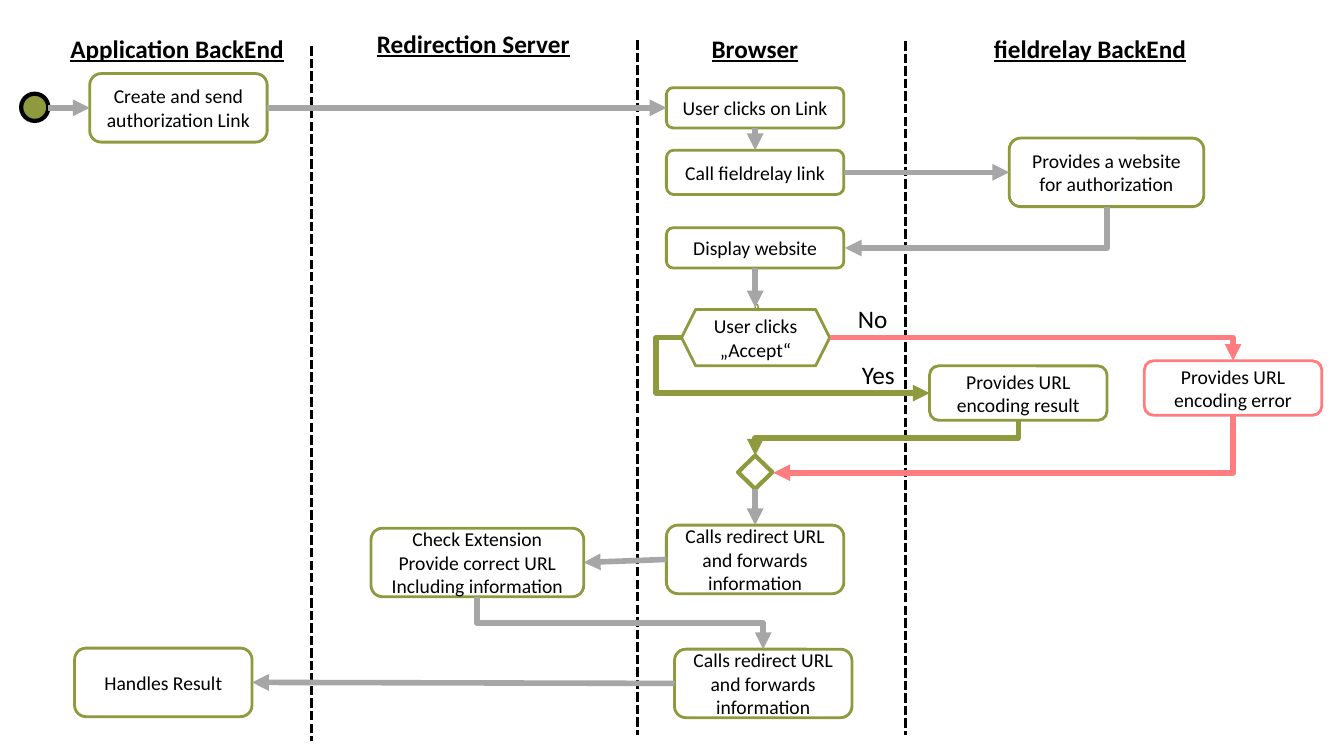
from lxml import etree
from pptx import Presentation
from pptx.dml.color import RGBColor
from pptx.enum.dml import MSO_LINE
from pptx.enum.shapes import MSO_CONNECTOR, MSO_SHAPE
from pptx.enum.text import MSO_ANCHOR, MSO_AUTO_SIZE, PP_ALIGN
from pptx.oxml.ns import qn
from pptx.util import Pt

PX = 9144
BLACK = RGBColor(0x00, 0x00, 0x00)
WHITE = RGBColor(0xFF, 0xFF, 0xFF)
OLIVE = RGBColor(0x8F, 0x99, 0x3E)
GREY = RGBColor(0xA6, 0xA6, 0xA6)
RED = RGBColor(0xFF, 0x7C, 0x80)

STRAIGHT, ELBOW = MSO_CONNECTOR.STRAIGHT, MSO_CONNECTOR.ELBOW
ROUNDED, HEXAGON = MSO_SHAPE.ROUNDED_RECTANGLE, MSO_SHAPE.HEXAGON
DIAMOND, OVAL = MSO_SHAPE.DIAMOND, MSO_SHAPE.OVAL
DASH = MSO_LINE.SQUARE_DOT
MIDDLE, CENTER = MSO_ANCHOR.MIDDLE, PP_ALIGN.CENTER
GROW = MSO_AUTO_SIZE.SHAPE_TO_FIT_TEXT
TOP, LEFT, BOTTOM, RIGHT = range(4)
QUARTER_TURN = 90 * 60000

BODY_FONT = {"name": "Calibri", "size": Pt(14)}
LABEL_FONT = {"name": "Calibri", "size": Pt(18)}
TITLE_FONT = {**LABEL_FONT, "bold": True, "underline": True}

LANE_LINES = [(309, 46, 735), (632, 40, 729), (898, 41, 729)]
LABELS = [
    ("Application BackEnd", 60, 28, 234, False, TITLE_FONT),
    ("Redirection Server", 364, 23, 213, False, TITLE_FONT),
    ("Browser", 696, 28, 107, False, TITLE_FONT),
    ("fieldrelay BackEnd", 976, 28, 272, True, TITLE_FONT),
    ("No", 841, 296, 50, False, LABEL_FONT),
    ("Yes", 845, 352, 53, False, LABEL_FONT),
]
FORWARD_TEXT = "Calls redirect URL and forwards information"
STEPS = {
    "create": ("Create and send authorization Link", 89, 73, 176, 68, OLIVE),
    "click": ("User clicks on Link", 661, 87, 176, 40, OLIVE),
    "call": ("Call fieldrelay link", 661, 149, 176, 44, OLIVE),
    "website": ("Provides a website for authorization", 1001, 137, 193, 68, OLIVE),
    "display": ("Display website", 661, 226, 176, 40, OLIVE),
    "result": ("Provides URL encoding result", 922, 363, 176, 54, OLIVE),
    "error": ("Provides URL encoding error", 1135, 358, 176, 54, RED),
    "forward": (FORWARD_TEXT, 661, 521, 176, 68, OLIVE),
    "check": ("Check Extension\nProvide correct URL\nIncluding information",
              368, 524, 211, 68, OLIVE),
    "return": (FORWARD_TEXT, 669, 644, 176, 68, OLIVE),
    "handle": ("Handles Result", 74, 643, 176, 68, OLIVE),
}
LINKS = [
    ("create", RIGHT, "click", LEFT),
    ("click", BOTTOM, "call", TOP),
    ("call", RIGHT, "website", LEFT),
    ("merge", BOTTOM, "forward", TOP),
    ("forward", LEFT, "check", RIGHT),
    ("return", LEFT, "handle", RIGHT),
]
DOWN_ELBOWS = [
    ((1098, 205), (838, 246), "bentConnector2", GREY),
    ((1223, 412), (767, 469), "bentConnector2", RED),
    ((1010, 417), (749, 452), "bentConnector3", OLIVE),
    ((473, 592), (757, 644), "bentConnector3", GREY),
]


def set_format(target, values):
    for name, value in values.items():
        setattr(target, name, value)


def write(text_frame, text, font, alignment=None):
    text_frame.text = text
    for paragraph in text_frame.paragraphs:
        paragraph.alignment = alignment
        set_format(paragraph.runs[0].font, font)
        paragraph.runs[0].font.color.rgb = BLACK


def add_label(slide, text, left, top, width, wrap, font):
    box = slide.shapes.add_textbox(left * PX, top * PX, width * PX, 40 * PX)
    set_format(box.text_frame, {"word_wrap": wrap, "auto_size": GROW})
    write(box.text_frame, text, font)


def add_node(slide, kind, left, top, width, height, line_color, weight, fill=WHITE):
    shape = slide.shapes.add_shape(kind, left * PX, top * PX, width * PX, height * PX)
    shape.shadow.inherit = False
    if fill is None:
        shape.fill.background()
    else:
        shape.fill.solid()
        shape.fill.fore_color.rgb = fill
    shape.line.color.rgb = line_color
    shape.line.width = Pt(weight)
    return shape


def add_step(slide, text, left, top, width, height, color, kind=ROUNDED):
    shape = add_node(slide, kind, left, top, width, height, color, 2)
    set_format(shape.text_frame, {"word_wrap": True, "vertical_anchor": MIDDLE})
    write(shape.text_frame, text, BODY_FONT, CENTER)
    return shape


def add_line(slide, kind, start, end, color, weight):
    points = [round(value * PX) for value in (*start, *end)]
    connector = slide.shapes.add_connector(kind, *points)
    connector.line.color.rgb = color
    connector.line.width = Pt(weight)
    etree.SubElement(connector._element.spPr, qn("a:effectLst"))
    return connector


def add_arrow(slide, start, end, color=GREY, kind=STRAIGHT):
    connector = add_line(slide, kind, start, end, color, 4)
    etree.SubElement(connector.get_or_add_ln() if hasattr(connector, "get_or_add_ln")
                     else connector.line._get_or_add_ln(),
                     qn("a:tailEnd"), type="triangle")
    return connector


def set_elbow(connector, preset, bend=None):
    geometry = connector._element.spPr.find(qn("a:prstGeom"))
    geometry.set("prst", preset)
    if bend is not None:
        guides = geometry.find(qn("a:avLst"))
        etree.SubElement(guides, qn("a:gd"), name="adj1", fmla=f"val {bend}")


def add_down_elbow(slide, start, end, preset, color):
    middle_x, middle_y = (start[0] + end[0]) / 2, (start[1] + end[1]) / 2
    half_x, half_y = (end[0] - start[0]) / 2, (end[1] - start[1]) / 2
    connector = add_arrow(slide, (middle_x - half_y, middle_y + half_x),
                          (middle_x + half_y, middle_y - half_x), color, ELBOW)
    connector._element.spPr.find(qn("a:xfrm")).set("rot", str(QUARTER_TURN))
    set_elbow(connector, preset)


def main():
    presentation = Presentation()
    presentation.slide_width, presentation.slide_height = 1333 * PX, 750 * PX
    slide = presentation.slides.add_slide(presentation.slide_layouts[6])

    for x, top, bottom in LANE_LINES:
        lane = add_line(slide, STRAIGHT, (x, top), (x, bottom), BLACK, 2.25)
        lane.line.dash_style = DASH
    for label in LABELS:
        add_label(slide, *label)

    add_node(slide, OVAL, 21, 93, 27, 27, BLACK, 3, OLIVE)
    nodes = {name: add_step(slide, *step) for name, step in STEPS.items()}
    nodes["merge"] = add_node(slide, DIAMOND, 732, 452, 34, 33, OLIVE, 3)
    add_step(slide, "User clicks „Accept“", 676, 307, 147, 56, OLIVE, HEXAGON)
    add_node(slide, OVAL, 749, 302, 3, 5, OLIVE, 1, None)

    for source, source_side, target, target_side in LINKS:
        connector = add_arrow(slide, (0, 0), (0, 0))
        connector.begin_connect(nodes[source], source_side)
        connector.end_connect(nodes[target], target_side)
    add_arrow(slide, (48, 107), (89, 107)).end_connect(nodes["create"], LEFT)
    add_arrow(slide, (749, 266), (749, 305)).begin_connect(nodes["display"], BOTTOM)

    for elbow in DOWN_ELBOWS:
        add_down_elbow(slide, *elbow)
    no_branch = add_arrow(slide, (823, 335), (1223, 358), RED, ELBOW)
    set_elbow(no_branch, "bentConnector2")
    yes_branch = add_arrow(slide, (676, 335), (922, 390), OLIVE, ELBOW)
    set_elbow(yes_branch, "bentConnector3", -10200)

    presentation.save("out.pptx")


if __name__ == "__main__":
    main()
